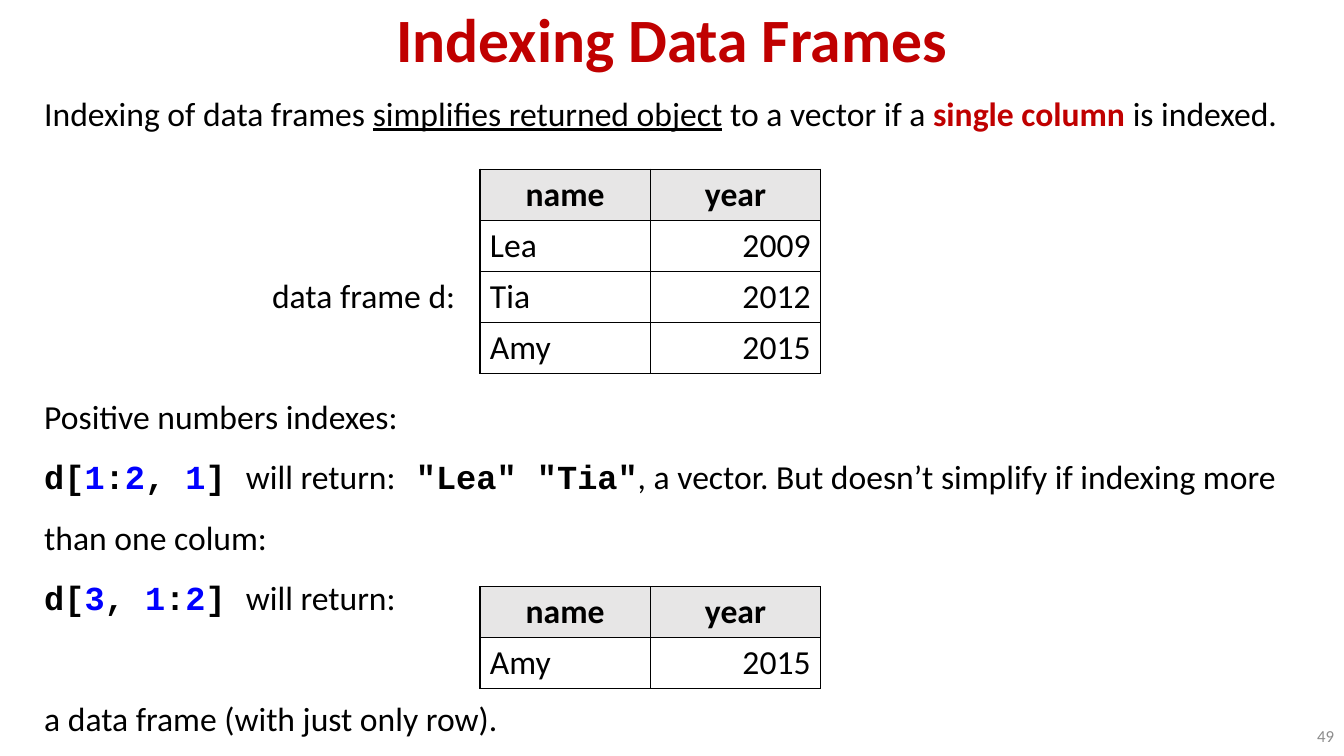
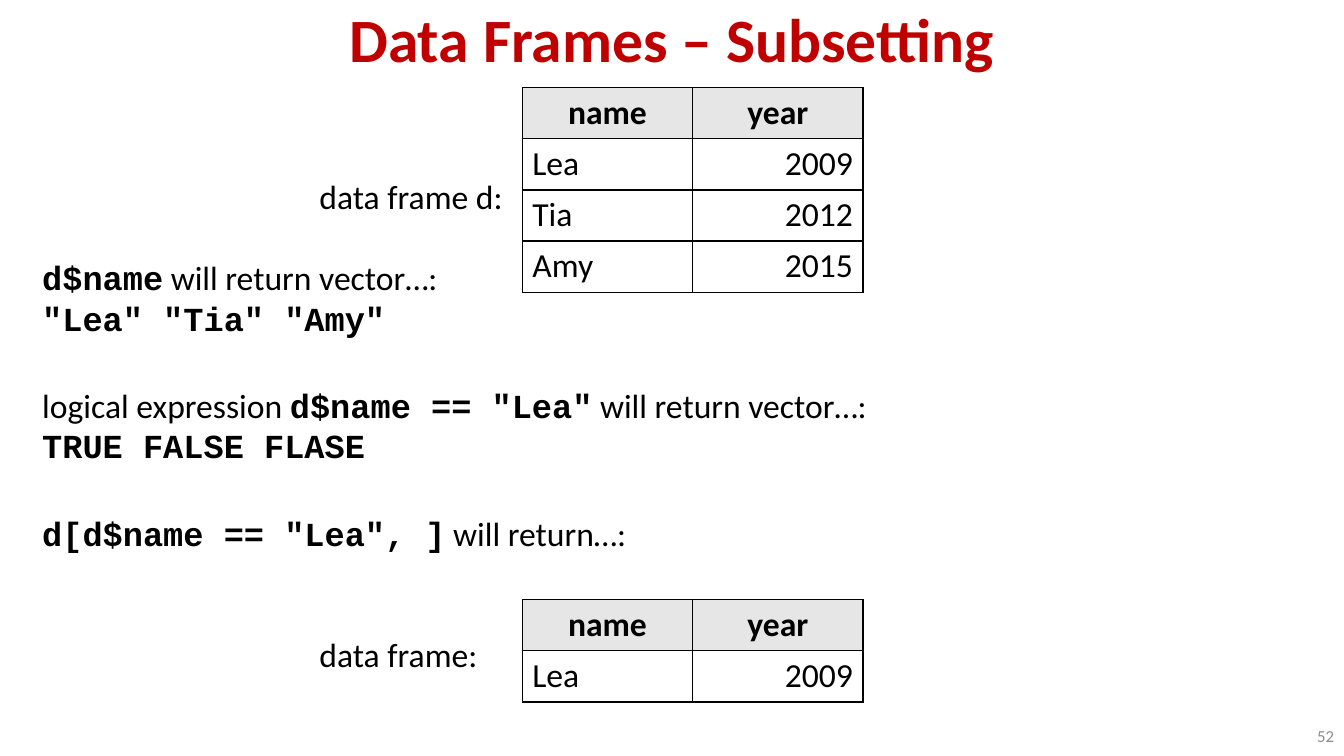
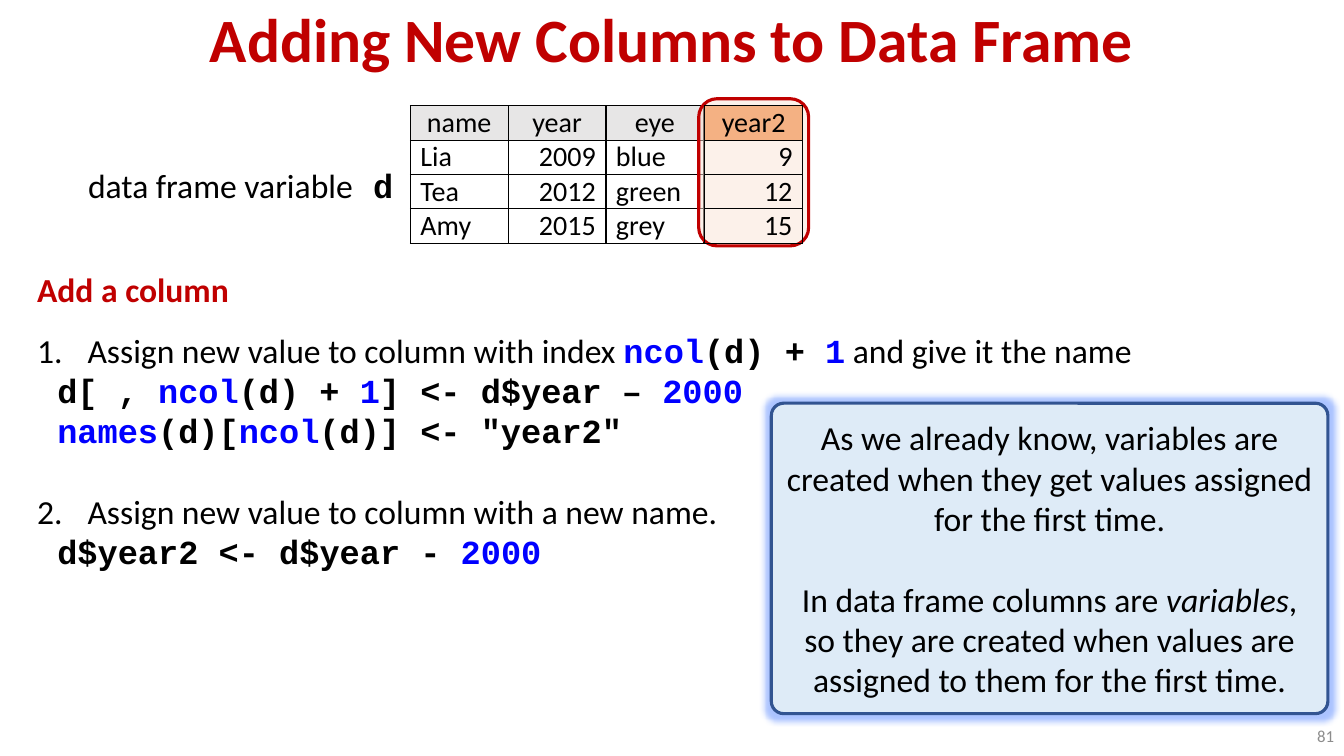
from dataclasses import dataclass

from lxml import etree
from pptx import Presentation
from pptx.dml.color import RGBColor
from pptx.enum.shapes import MSO_SHAPE
from pptx.enum.text import MSO_ANCHOR, MSO_AUTO_SIZE, PP_ALIGN
from pptx.oxml.ns import qn
from pptx.util import Inches, Pt

LEFT, CENTER, RIGHT = PP_ALIGN.LEFT, PP_ALIGN.CENTER, PP_ALIGN.RIGHT
TOP, MIDDLE, BOTTOM = MSO_ANCHOR.TOP, MSO_ANCHOR.MIDDLE, MSO_ANCHOR.BOTTOM
ROUNDED = MSO_SHAPE.ROUNDED_RECTANGLE
NO_AUTOFIT = MSO_AUTO_SIZE.NONE

BLACK, RED, BLUE, GRAY = "000000", "C00000", "0000FF", "8C8C8C"
HEADER_FILL, NEW_HEADER_FILL = "E7E6E6", "F4B183"
SANS, MONO = "Calibri", "Courier New"
BODY_SIZE = 24
LINE = 28.9  # height in points of one line of body text
TITLE_ONLY = 5
SLIDE_WIDTH, SLIDE_HEIGHT = 13.33, 7.5


@dataclass
class Run:
    text: str
    color: str = BLACK
    font: str = SANS
    size: float = BODY_SIZE
    bold: bool = False
    italic: bool = False
    underline: bool = False


@dataclass
class Line:
    """One paragraph; gap is the space before it in points."""
    runs: list
    gap: float = 0
    spacing: float = 1
    indent: float = 0
    align: int = LEFT
    number: int = 0


def code(source):
    """Split code at each bar into runs that are black and blue by turns."""
    return [Run(part, BLUE if index % 2 else BLACK, MONO, bold=True)
            for index, part in enumerate(source.split("|")) if part]


def rgb(color):
    return RGBColor.from_string(color)


def add_element(parent, tag, **attributes):
    element = etree.SubElement(parent, qn(tag))
    for name, value in attributes.items():
        element.set(name, str(value))
    return element


def fill_paragraph(paragraph, line):
    paragraph.alignment = line.align
    paragraph.line_spacing = line.spacing
    paragraph.space_before = Pt(line.gap)
    paragraph.space_after = Pt(0)
    properties = paragraph._p.get_or_add_pPr()
    properties.set("marL", str(Inches(line.indent)))
    properties.set("indent", str(-Inches(line.indent) if line.number else 0))
    if line.number:
        add_element(properties, "a:buFont", typeface="+mj-lt")
        add_element(properties, "a:buAutoNum", type="arabicPeriod", startAt=line.number)
    for item in line.runs:
        run = paragraph.add_run()
        run.text = item.text
        font = run.font
        font.name, font.size = item.font, Pt(item.size)
        font.bold, font.italic, font.underline = item.bold, item.italic, item.underline
        font.color.rgb = rgb(item.color)


def fill_frame(frame, lines, anchor=TOP):
    frame.word_wrap = True
    frame.auto_size = NO_AUTOFIT
    frame.vertical_anchor = anchor
    for index, line in enumerate(lines):
        paragraph = frame.add_paragraph() if index else frame.paragraphs[0]
        fill_paragraph(paragraph, line)


def add_text(slide, left, top, width, height, lines, anchor=TOP):
    box = slide.shapes.add_textbox(Inches(left), Inches(top), Inches(width), Inches(height))
    fill_frame(box.text_frame, lines, anchor)


def add_rounded_box(slide, left, top, width, height, fill, line):
    shape = slide.shapes.add_shape(
        ROUNDED, Inches(left), Inches(top), Inches(width), Inches(height))
    shape.shadow.inherit = False
    shape.fill.solid()
    shape.fill.fore_color.rgb = rgb(fill)
    shape.line.color.rgb = rgb(line)
    shape.line.width = Pt(2.25)
    return shape


def add_slide(presentation, title):
    slide = presentation.slides.add_slide(presentation.slide_layouts[TITLE_ONLY])
    shape = slide.shapes.title
    shape.left, shape.top = Inches(0), Inches(0)
    shape.width, shape.height = Inches(SLIDE_WIDTH), Inches(0.8)
    heading = Line([Run(title, RED, size=44, bold=True)], spacing=0.9, align=CENTER)
    fill_frame(shape.text_frame, [heading], BOTTOM)
    return slide


def add_page_number(slide, number):
    width, height = 1.12, 0.4
    line = Line([Run(str(number), GRAY, size=12)], align=RIGHT)
    add_text(slide, SLIDE_WIDTH - width, SLIDE_HEIGHT - height, width, height, [line], MIDDLE)


def set_borders(cell):
    properties = cell._tc.get_or_add_tcPr()
    for side in ("a:lnL", "a:lnR", "a:lnT", "a:lnB"):
        border = add_element(properties, side, w=Pt(1))
        add_element(add_element(border, "a:solidFill"), "a:srgbClr", val=BLACK)


def add_data_table(slide, left, top, rows, column_width=1.69, row_height=0.5,
                   size=BODY_SIZE, bold_header=True, margin=0.05, header_fill=HEADER_FILL):
    """Draw a grid whose first row is the header; numbers are aligned right."""
    columns = len(rows[0])
    table = slide.shapes.add_table(
        len(rows), columns, Inches(left), Inches(top),
        Inches(column_width * columns), Inches(row_height * len(rows))).table
    table.first_row = table.horz_banding = False
    for column in table.columns:
        column.width = Inches(column_width)
    for row_index, values in enumerate(rows):
        table.rows[row_index].height = Inches(row_height)
        is_header = row_index == 0
        for column_index, value in enumerate(values):
            cell = table.cell(row_index, column_index)
            cell.margin_top = cell.margin_bottom = Inches(margin)
            set_borders(cell)
            if is_header:
                cell.fill.solid()
                cell.fill.fore_color.rgb = rgb(header_fill)
            else:
                cell.fill.background()
            align = CENTER if is_header else RIGHT if isinstance(value, int) else LEFT
            run = Run(str(value), size=size, bold=is_header and bold_header)
            fill_paragraph(cell.text_frame.paragraphs[0], Line([run], align=align))


def add_callout(slide, left, top, width, height, lines):
    shape = add_rounded_box(slide, left, top, width, height, "DEEBF7", "325491")
    shape.adjustments[0] = 0.04
    effects = shape._element.spPr.find(qn("a:effectLst"))
    glow = add_element(effects, "a:glow", rad=Pt(8))
    color = add_element(glow, "a:srgbClr", val="2F6BFF")
    add_element(color, "a:alpha", val=40000)
    fill_frame(shape.text_frame, lines, MIDDLE)


def add_column_highlight(slide, left, top, width, height):
    shape = add_rounded_box(slide, left, top, width, height, "FBE5D6", RED)
    color = shape._element.spPr.find(qn("a:solidFill"))[0]
    add_element(color, "a:alpha", val=50000)


HEADER = ("name", "year")
LEA, TIA, AMY = ("Lea", 2009), ("Tia", 2012), ("Amy", 2015)


def build_indexing(presentation):
    slide = add_slide(presentation, "Indexing Data Frames")
    wide = 1.5
    add_text(slide, 0.34, 0.87, 12.65, 6.5, [
        Line([Run("Indexing of data frames "),
              Run("simplifies returned object", underline=True),
              Run(" to a vector if a "),
              Run("single column", RED, bold=True),
              Run(" is indexed.")]),
        Line([Run("data frame d:")], gap=3 * LINE, spacing=wide, indent=2.26),
        Line([Run("Positive numbers indexes:")], gap=wide * LINE, spacing=wide),
        Line([*code("d[|1|:|2|, |1|] "), Run("will return:"), *code(' "Lea" "Tia"'),
              Run(", a vector. But doesn’t simplify if indexing more than one colum:")],
             spacing=wide),
        Line([*code("d[|3|, |1|:|2|] "), Run("will return:")], spacing=wide),
        Line([Run("a data frame (with just only row).")], gap=wide * LINE, spacing=wide),
    ])
    add_data_table(slide, 4.76, 1.68, [HEADER, LEA, TIA, AMY])
    add_data_table(slide, 4.76, 5.82, [HEADER, AMY])
    add_page_number(slide, 49)


def build_subsetting(presentation):
    slide = add_slide(presentation, "Data Frames – Subsetting")
    block_gap = 33.7
    add_text(slide, 0.32, 1.7, 12.59, 5.25, [
        Line([Run("data frame d:")], indent=2.75),
        Line([*code("d$name"), Run(" will return vector…:")], gap=LINE),
        Line(code('"Lea" "Tia" "Amy"')),
        Line([Run("logical expression "), *code('d$name == "Lea"'),
              Run(" will return vector…:")], gap=block_gap),
        Line(code("TRUE FALSE FLASE")),
        Line([*code('d[d$name == "Lea", ]'), Run(" will return…:")], gap=block_gap),
        Line([Run("data frame:")], gap=2 * LINE, indent=2.75),
    ])
    add_data_table(slide, 5.18, 0.87, [HEADER, LEA, TIA, AMY])
    add_data_table(slide, 5.18, 5.95, [HEADER, LEA])
    add_page_number(slide, 52)


def build_adding_columns(presentation):
    slide = add_slide(presentation, "Adding New Columns to Data Frame")
    compact = {"column_width": 0.97, "row_height": 0.33, "size": 20,
               "bold_header": False, "margin": 0}
    add_data_table(slide, 4.07, 1.05, [
        ("name", "year", "eye"),
        ("Lia", 2009, "blue"),
        ("Tea", 2012, "green"),
        ("Amy", 2015, "grey"),
    ], **compact)
    add_column_highlight(slide, 6.93, 0.98, 1.09, 1.46)
    add_text(slide, 0.27, 2.62, 12.8, 3.53, [
        Line([Run("Add a column", RED, bold=True)]),
        Line([Run("Assign new value to column with index "), *code("|ncol|(d) + |1|"),
              Run(" and give it the name")], gap=14.4, indent=0.5, number=1),
        Line(code(" d[ , |ncol|(d) + |1|] <- d$year – |2000|")),
        Line(code(' |names|(d)[|ncol|(d)] <- "year2"')),
        Line([Run("Assign new value to column with a new name.")],
             gap=LINE, indent=0.5, number=2),
        Line(code(" d$year2 <- d$year - |2000|")),
    ])
    add_text(slide, 0.03, 1.59, 3.97, 0.5, [
        Line([Run("data frame variable"), *code(" d")], align=RIGHT)])
    add_data_table(slide, 6.99, 1.05, [("year2",), (9,), (12,), (15,)],
                   header_fill=NEW_HEADER_FILL, **compact)
    # The callout and its glow end above the page number.
    add_callout(slide, 7.65, 4, 5.52, 3.08, [
        Line([Run("As we already know, variables are created when they get "
                  "values assigned for the first time.")], align=CENTER),
        Line([Run("In data frame columns are "), Run("variables", italic=True),
              Run(", so they are created when values are assigned to them "
                  "for the first time.")], gap=LINE, align=CENTER),
    ])
    add_page_number(slide, 81)


def main():
    presentation = Presentation()
    presentation.slide_width = Inches(SLIDE_WIDTH)
    presentation.slide_height = Inches(SLIDE_HEIGHT)
    build_indexing(presentation)
    build_subsetting(presentation)
    build_adding_columns(presentation)
    presentation.save("out.pptx")


if __name__ == "__main__":
    main()
